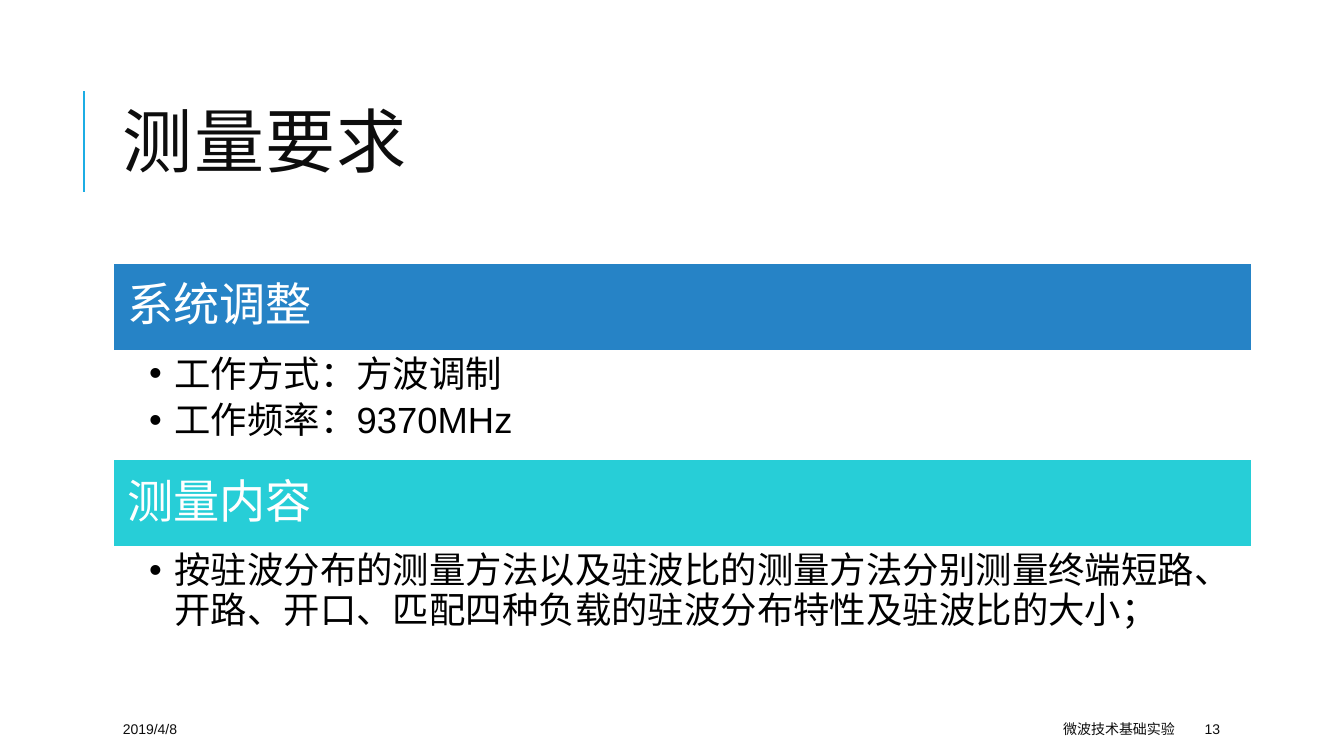
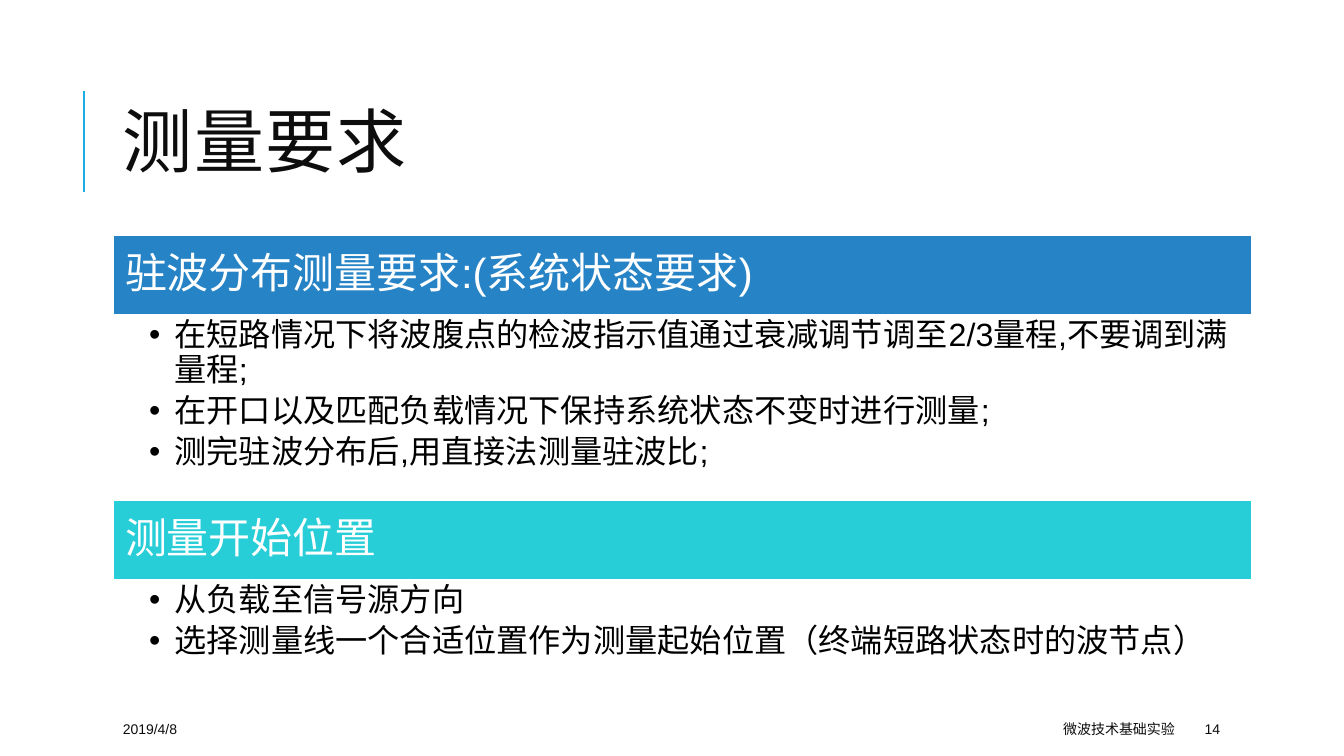
from pptx import Presentation
from pptx.dml.color import RGBColor
from pptx.enum.lang import MSO_LANGUAGE_ID as LANG
from pptx.enum.shapes import MSO_CONNECTOR, MSO_SHAPE
from pptx.enum.text import MSO_ANCHOR as ANCHOR, PP_ALIGN as ALIGN
from pptx.oxml.ns import qn
from pptx.util import Inches, Pt
from lxml.etree import SubElement

# Shared look
COLORS = {"accent": "1CADE4", "ink": "0D0D0D", "body": "000000",
          "white": "FFFFFF", "blue": "2683C6", "teal": "27CED7"}
FONT = "Arial"
WIDTH, HEIGHT = 13.33, 7.5
LEFT, COL_W = 1.12, 11.3
BANDS = ("blue", "teal")
FOOT_Y, FOOT_H = 7.08, 0.3
DATE, COURSE = "2019/4/8", "微波技术基础实验"

# Per slide: title, number, top, band height, band inset, body insets
# (left, top, right, bottom), sizes of heading and body, and the sections
# as (heading, body height, bullets)
SLIDES = [
    dict(title="测量要求", number=13, top=2.61, band_h=0.87, band_inset=0.14,
         insets=(0.36, 0.05, 0.26, 0.05), head_size=33, body_size=26,
         sections=[
             ("系统调整", 1.08, ["工作方式：方波调制", "工作频率：9370MHz"]),
             ("测量内容", 0.99,
              ["按驻波分布的测量方法以及驻波比的测量方法分别测量终端短路、"
               "开路、开口、匹配四种负载的驻波分布特性及驻波比的大小；"]),
         ]),
    dict(title="测量要求", number=14, top=2.33, band_h=0.79, band_inset=0.12,
         insets=(0.36, 0.04, 0.23, 0.04), head_size=30, body_size=23,
         sections=[
             ("驻波分布测量要求:(系统状态要求)", 1.84,
              ["在短路情况下将波腹点的检波指示值通过衰减调节调至2/3量程,不要调到满量程;",
               "在开口以及匹配负载情况下保持系统状态不变时进行测量;",
               "测完驻波分布后,用直接法测量驻波比;"]),
             ("测量开始位置", 0.95,
              ["从负载至信号源方向",
               "选择测量线一个合适位置作为测量起始位置（终端短路状态时的波节点）"]),
         ]),
]


def rgb(name):
    return RGBColor.from_string(COLORS[name])


def write(sp, lines, size, color, anchor=ANCHOR.MIDDLE, align=ALIGN.LEFT,
          insets=(0.1, 0.05, 0.1, 0.05), spacing=1.0, after=0):
    """Fill a shape with paragraphs; after is a share of the text size."""
    tf = sp.text_frame
    tf.word_wrap = True
    tf.vertical_anchor = anchor
    tf.margin_left, tf.margin_top, tf.margin_right, tf.margin_bottom = map(Inches, insets)
    tf.text = "\n".join(lines)
    for p in tf.paragraphs:
        p.alignment = align
        p.line_spacing = spacing
        p.space_after = Pt(round(size * after, 1))
        for r in p.runs:
            r.font.size = Pt(size)
            r.font.name = FONT
            r.font.color.rgb = rgb(color)
            r.font.language_id = LANG.SIMPLIFIED_CHINESE
    return tf


def add_text(s, x, y, w, h, lines, size, color, **style):
    sp = s.shapes.add_textbox(Inches(x), Inches(y), Inches(w), Inches(h))
    return write(sp, lines, size, color, **style)


def add_title(s, text):
    # Accent rule beside the title
    x = Inches(WIDTH / 16)
    rule = s.shapes.add_connector(MSO_CONNECTOR.STRAIGHT, x, Inches(1.9), x, Inches(0.9))
    rule.line.color.rgb = rgb("accent")
    rule.line.width = Pt(1.5)
    SubElement(rule._element.spPr, qn("a:effectLst"))
    # Title, letters spaced by one point
    tf = add_text(s, LEFT, 0.64, COL_W, 1.64, [text], 50, "ink", spacing=0.8)
    for r in tf.paragraphs[0].runs:
        r._r.get_or_add_rPr().set("spc", "100")


def add_band(s, y, h, text, size, inset, fill):
    sp = s.shapes.add_shape(MSO_SHAPE.RECTANGLE, Inches(LEFT), Inches(y),
                            Inches(COL_W), Inches(h))
    sp.shadow.inherit = False
    sp.fill.solid()
    sp.fill.fore_color.rgb = rgb(fill)
    sp.line.color.rgb = rgb("white")
    sp.line.width = Pt(1.25)
    write(sp, [text], size, "white", insets=(inset,) * 4, spacing=0.9, after=0.35)


def add_bullets(s, y, h, lines, size, insets):
    tf = add_text(s, LEFT, y, COL_W, h, lines, size, "body", anchor=ANCHOR.TOP,
                  insets=insets, spacing=0.9, after=0.2)
    for p in tf.paragraphs:
        p.level = 1
        pPr = p._p.get_or_add_pPr()
        pPr.set("marL", str(Inches(0.25)))
        pPr.set("indent", str(-Inches(0.25)))
        SubElement(pPr, qn("a:buFont")).set("typeface", FONT)
        SubElement(pPr, qn("a:buChar")).set("char", "•")


def add_footer(s, number):
    for x, w, text, align in ((LEFT, 2.36, DATE, ALIGN.LEFT),
                              (5.3, 6.45, COURSE, ALIGN.RIGHT),
                              (11.85, 1.06, str(number), ALIGN.LEFT)):
        add_text(s, x, FOOT_Y, w, FOOT_H, [text], 10, "ink", align=align)


def add_sections(s, data):
    # Each band sits on its bullets, and the next section follows directly
    y = data["top"]
    for fill, (heading, body_h, bullets) in zip(BANDS, data["sections"]):
        add_band(s, y, data["band_h"], heading, data["head_size"],
                 data["band_inset"], fill)
        y += data["band_h"]
        add_bullets(s, y, body_h, bullets, data["body_size"], data["insets"])
        y += body_h


def main():
    prs = Presentation()
    prs.slide_width, prs.slide_height = Inches(WIDTH), Inches(HEIGHT)
    for data in SLIDES:
        s = prs.slides.add_slide(prs.slide_layouts[6])
        add_title(s, data["title"])
        add_sections(s, data)
        add_footer(s, data["number"])
    prs.save("out.pptx")


if __name__ == "__main__":
    main()
